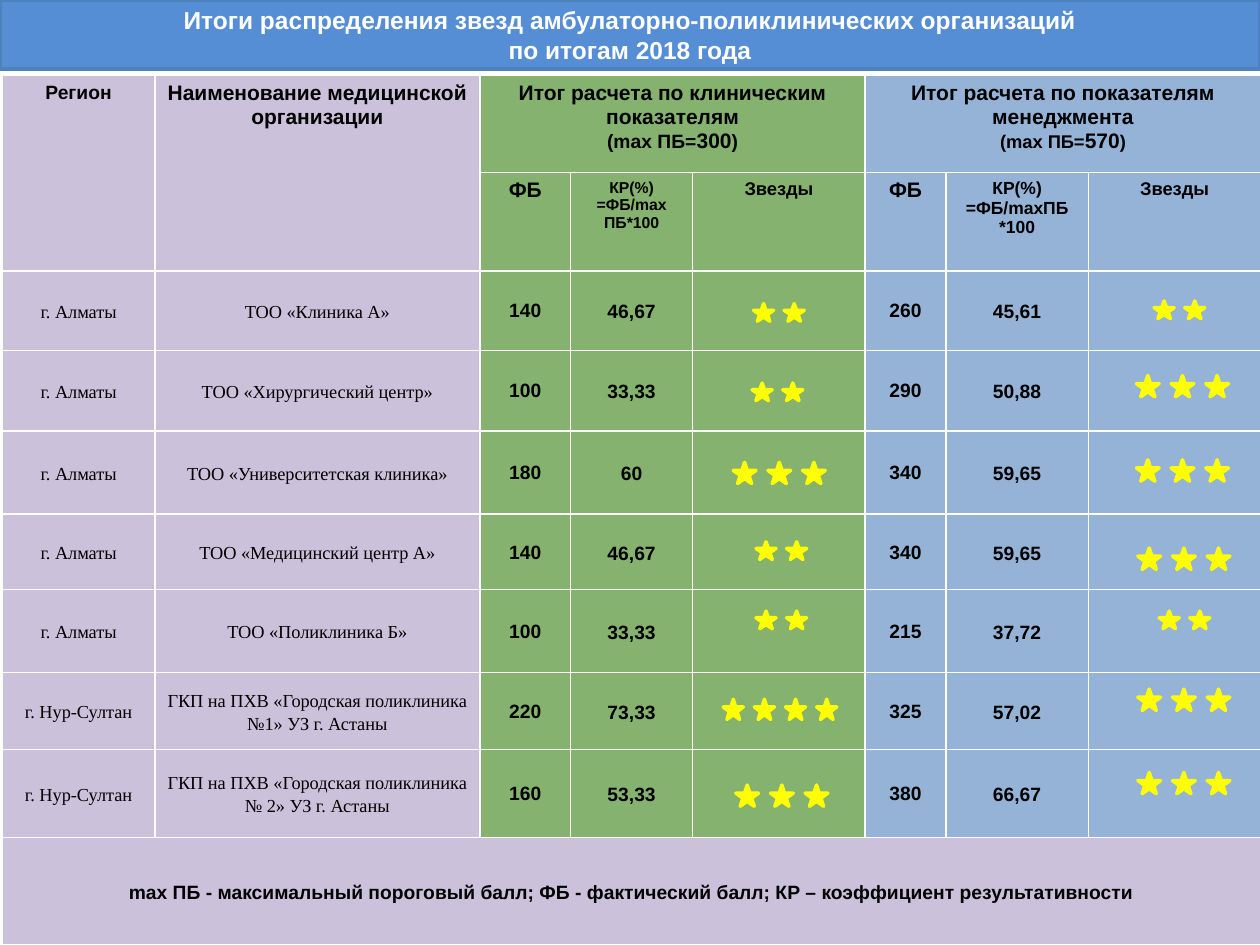
"""Build the slide with star ratings of outpatient clinics for 2018."""
from pptx import Presentation
from pptx.dml.color import RGBColor
from pptx.enum.shapes import MSO_SHAPE as Shape
from pptx.enum.text import MSO_ANCHOR as Anchor, MSO_AUTO_SIZE as AutoSize, PP_ALIGN as Align
from pptx.oxml import parse_xml
from pptx.oxml.ns import nsdecls
from pptx.util import Pt

WHITE = RGBColor(0xFF, 0xFF, 0xFF)
BLACK = RGBColor(0, 0, 0)
TITLE_BLUE = RGBColor(0x55, 0x8E, 0xD5)
TITLE_EDGE = RGBColor(0x4F, 0x81, 0xBD)
LILAC = RGBColor(0xCC, 0xC1, 0xDA)
GREEN = RGBColor(0x85, 0xB2, 0x6E)
BLUE = RGBColor(0x95, 0xB3, 0xD7)
YELLOW = RGBColor(0xFF, 0xFF, 0)

HEADER = {"margin_left": Pt(7.2), "margin_right": Pt(7.2),
          "margin_top": Pt(3.6), "margin_bottom": Pt(3.6), "vertical_anchor": Anchor.TOP}
BODY = {"margin_left": Pt(5), "margin_right": Pt(5),
        "margin_top": 0, "margin_bottom": 0, "vertical_anchor": Anchor.MIDDLE}
SCORE = BODY | {"margin_left": Pt(0.7), "margin_right": Pt(0.7), "margin_top": Pt(0.7)}
ARIAL = {"name": "Arial", "bold": True}
TIMES = {"name": "Times New Roman", "bold": False}


def add_span(para, text, size, color=BLACK, font=ARIAL):
    span = para.add_run()
    span.text = text
    span.font.color.rgb = color
    for key, value in (font | {"size": Pt(size)}).items():
        setattr(span.font, key, value)


def write_cell(cell, lines, layout, font=ARIAL, spacing=None):
    for key, value in layout.items():
        setattr(cell, key, value)
    frame = cell.text_frame
    for index, spans in enumerate(lines):
        para = frame.add_paragraph() if index else frame.paragraphs[0]
        para.alignment = Align.CENTER
        para.line_spacing = spacing
        for text, size in spans:
            add_span(para, text, size, font=font)


deck = Presentation()
deck.slide_width, deck.slide_height = Pt(720), Pt(540)
slide = deck.slides.add_slide(deck.slide_layouts[5])

title = slide.shapes.title
title.left, title.top, title.width, title.height = 0, 0, Pt(720), Pt(39.6)
title.fill.solid()
title.fill.fore_color.rgb = TITLE_BLUE
title.line.color.rgb = TITLE_EDGE
title.line.width = Pt(2)
title.text_frame.auto_size = AutoSize.NONE
title.text_frame.vertical_anchor = Anchor.MIDDLE
para = title.text_frame.paragraphs[0]
para.alignment = Align.CENTER
add_span(para, "Итоги распределения звезд амбулаторно-поликлинических организаций", 14, WHITE)
para.add_line_break()
add_span(para, "по итогам 2018 года", 14, WHITE)

column_widths = [87.1, 185.8, 51.8, 69.8, 98.6, 46.1, 81.4, 98.6]
row_heights = [55.4, 56.2, 45.4, 46.1, 47.5, 43.2, 47.5, 43.9, 50.4, 61.2]
column_fills = [LILAC] * 2 + [GREEN] * 3 + [BLUE] * 3
table = slide.shapes.add_table(len(row_heights), len(column_widths), Pt(1.4), Pt(43.2),
                               Pt(sum(column_widths)), Pt(sum(row_heights))).table
for column, width in zip(table.columns, column_widths):
    column.width = Pt(width)
for row, height in zip(table.rows, row_heights):
    row.height = Pt(height)
last_row = len(row_heights) - 1
for row_index, row in enumerate(table.rows):
    for cell, color in zip(row.cells, column_fills):
        for side in ("lnL", "lnR", "lnT", "lnB"):
            cell._tc.get_or_add_tcPr().append(parse_xml(
                f'<a:{side} {nsdecls("a")} w="12700"><a:solidFill>'
                f'<a:srgbClr val="{WHITE}"/></a:solidFill></a:{side}>'))
        cell.fill.solid()
        cell.fill.fore_color.rgb = LILAC if row_index == last_row else color

for top, left, bottom, right in [(0, 0, 1, 0), (0, 1, 1, 1), (0, 2, 0, 4),
                                 (0, 5, 0, 7), (last_row, 0, last_row, 7)]:
    table.cell(top, left).merge(table.cell(bottom, right))

headers = {
    (0, 0): [[("Регион", 11)]],
    (0, 1): [[("Наименование медицинской организации", 12)]],
    (0, 2): [[("Итог расчета по клиническим показателям", 12)],
             [("(mах ПБ=", 11), ("300", 12), (")", 11)]],
    (0, 5): [[("Итог расчета по показателям менеджмента", 12)],
             [("(mах ПБ=", 10.5), ("570", 12), (")", 10.5)]],
    (1, 2): [[("ФБ", 12)]],
    (1, 3): [[("КР(%)", 9)], [("=ФБ/mах ПБ*100", 9)]],
    (1, 4): [[("Звезды", 10.5)]],
    (1, 5): [[("ФБ", 12)]],
    (1, 6): [[("КР(%)", 10)], [("=ФБ/mахПБ *100", 10)]],
    (1, 7): [[("Звезды", 10.5)]],
}
for position, lines in headers.items():
    write_cell(table.cell(*position), lines, HEADER)

clinics = [
    ("г. Алматы", ["ТОО «Клиника А»"], "140", "46,67", "260", "45,61"),
    ("г. Алматы", ["ТОО «Хирургический центр»"], "100", "33,33", "290", "50,88"),
    ("г. Алматы", ["ТОО «Университетская клиника»"], "180", "60", "340", "59,65"),
    ("г. Алматы", ["ТОО «Медицинский центр А»"], "140", "46,67", "340", "59,65"),
    ("г. Алматы", ["ТОО «Поликлиника Б»"], "100", "33,33", "215", "37,72"),
    ("г. Нур-Султан", ["ГКП на ПХВ «Городская поликлиника", "№1» УЗ г. Астаны"],
     "220", "73,33", "325", "57,02"),
    ("г. Нур-Султан", ["ГКП на ПХВ «Городская поликлиника", "№ 2» УЗ г. Астаны"],
     "160", "53,33", "380", "66,67"),
]
for row_index, (region, name, *results) in enumerate(clinics, start=2):
    for column_index, lines in enumerate([[region], name]):
        write_cell(table.cell(row_index, column_index), [[(line, 10.5)] for line in lines],
                   BODY, TIMES, 1.15)
    for column_index, value in zip((2, 3, 5, 6), results):
        is_score = column_index in (2, 5)
        write_cell(table.cell(row_index, column_index), [[(value, 11)]],
                   SCORE if is_score else BODY, spacing=None if is_score else 1.15)
write_cell(table.cell(last_row, 0),
           [[("mах ПБ - максимальный пороговый балл; ФБ - фактический балл; "
              "КР – коэффициент результативности", 11)]], BODY, spacing=1.15)

star_sizes = {2: (11.5, 10.1, 17.5), 3: (13, 12.2, 19.8), 4: (11.5, 11.5, 17.8)}
ratings = [
    (2, 430.6, 173.5), (2, 659.5, 172),
    (2, 429.8, 218.9), (3, 649.4, 214.6),
    (3, 419, 264.2), (3, 649.4, 262.8),
    (2, 432, 309.6), (3, 650.2, 313.2),
    (2, 432, 349.2), (2, 662.4, 349.2),
    (4, 413.3, 399.6), (3, 650.2, 393.8),
    (3, 420.5, 448.6), (3, 650.2, 441.4),
]
for count, left, top in ratings:
    width, height, step = star_sizes[count]
    group = slide.shapes.add_group_shape()
    for index in range(count):
        star = group.shapes.add_shape(Shape.STAR_5_POINT, Pt(left + index * step), Pt(top),
                                      Pt(width), Pt(height))
        star.shadow.inherit = False
        star.fill.solid()
        star.fill.fore_color.rgb = YELLOW
        star.line.color.rgb = YELLOW
        star.line.width = Pt(2)

deck.save("out.pptx")
